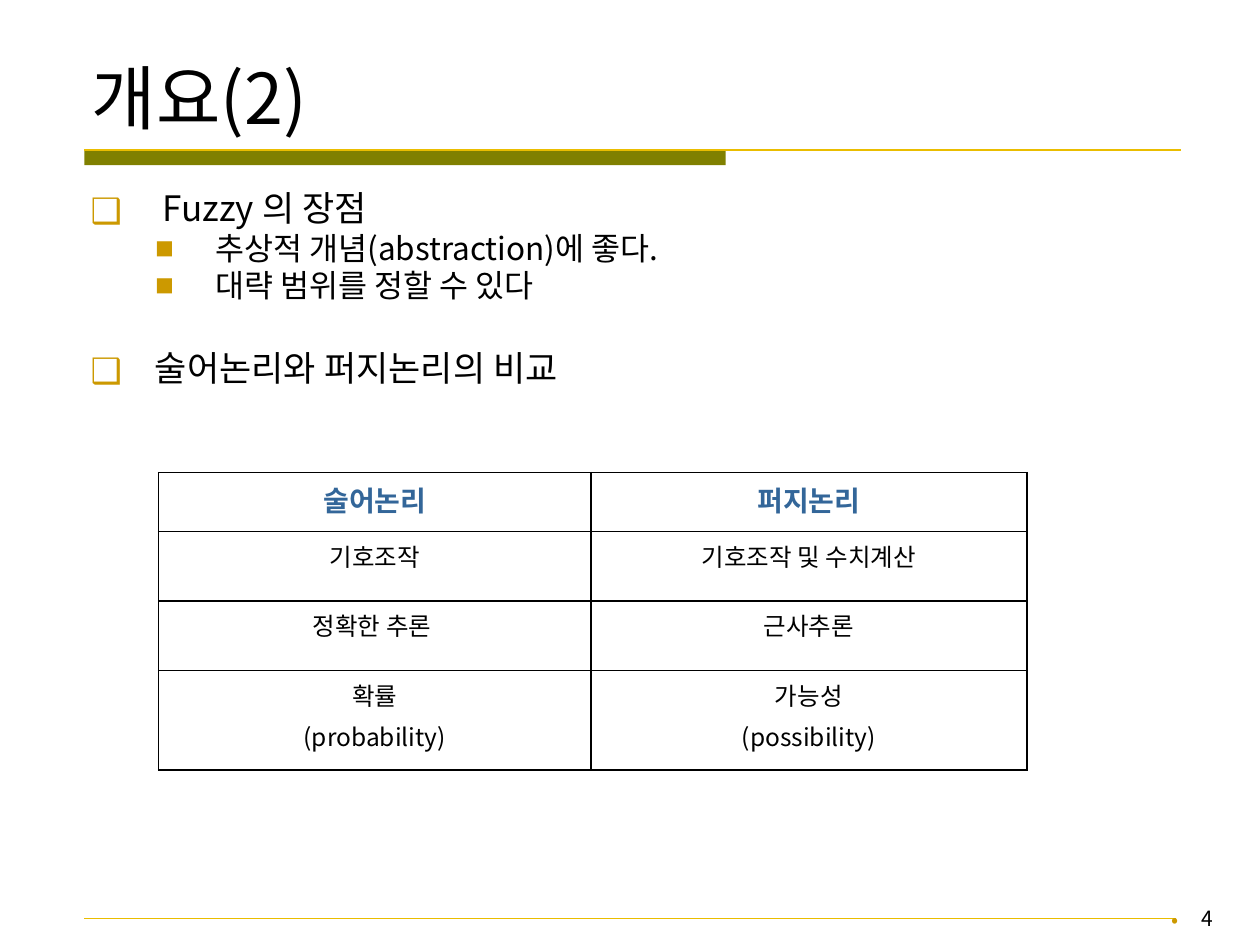
from pptx import Presentation
from pptx.dml.color import RGBColor
from pptx.enum.shapes import MSO_CONNECTOR as Connector, MSO_SHAPE as Shape
from pptx.enum.text import MSO_ANCHOR as Anchor, MSO_AUTO_SIZE as AutoSize, PP_ALIGN as Align
from pptx.oxml.ns import qn
from pptx.util import Inches, Pt
from lxml.etree import SubElement

BLACK, OLIVE, YELLOW, GOLD, BLUE = "000000", "808000", "EABD00", "CC9900", "336699"


def color(value):
    return RGBColor.from_string(value)


def add_solid_fill(parent, value):
    fill = SubElement(parent, qn("a:solidFill"))
    SubElement(fill, qn("a:srgbClr"), val=value)


class SlideBuilder:
    font = "Noto Sans CJK KR"

    def __init__(self, slide):
        self.slide = slide

    def add_run(self, paragraph, text, size, value=BLACK, bold=False):
        run = paragraph.add_run()
        run.text = text
        run.font.name = self.font
        run.font.size = Pt(size)
        run.font.bold = bold
        run.font.color.rgb = color(value)
        SubElement(run._r.get_or_add_rPr(), qn("a:ea"), typeface=self.font)

    def set_bullet(self, paragraph, char, left, hanging, percent=100):
        properties = paragraph._p.get_or_add_pPr()
        properties.set("marL", str(Inches(left)))
        properties.set("indent", str(-Inches(hanging)))
        bullet_color = SubElement(properties, qn("a:buClr"))
        SubElement(bullet_color, qn("a:srgbClr"), val=GOLD)
        SubElement(properties, qn("a:buSzPct"), val=str(percent * 1000))
        SubElement(properties, qn("a:buFont"), typeface=self.font)
        SubElement(properties, qn("a:buChar"), char=char)

    def place(self, shape, left, top, width, height, anchor):
        shape.left, shape.top = Inches(left), Inches(top)
        shape.width, shape.height = Inches(width), Inches(height)
        frame = shape.text_frame
        frame.word_wrap = True
        frame.auto_size = AutoSize.NONE
        frame.vertical_anchor = anchor
        return frame

    def add_title(self, text):
        frame = self.place(self.slide.shapes.title, 0.63, 0.05, 8.47, 1.1, Anchor.BOTTOM)
        paragraph = frame.paragraphs[0]
        paragraph.alignment = Align.LEFT
        self.add_run(paragraph, text, 40)

    def add_list(self, items):
        frame = self.place(self.slide.placeholders[1], 0.62, 1.47, 8.24, 5.75, Anchor.TOP)
        for index, (level, text, space) in enumerate(items):
            paragraph = frame.add_paragraph() if index else frame.paragraphs[0]
            paragraph.level = level
            paragraph.line_spacing = 0.9
            paragraph.space_before = Pt(space)
            if level:
                self.set_bullet(paragraph, "■", 0.99, 0.48, 60)
            else:
                self.set_bullet(paragraph, "❑", 0.51, 0.51)
            self.add_run(paragraph, text, 18 if level else 20)

    def add_bar(self, left, top, width, height, value):
        bar = self.slide.shapes.add_shape(
            Shape.RECTANGLE, Inches(left), Inches(top), Inches(width), Inches(height))
        bar.shadow.inherit = False
        bar.fill.solid()
        bar.fill.fore_color.rgb = color(value)
        bar.line.fill.background()

    def add_rule(self, left, right, y, value, weight):
        rule = self.slide.shapes.add_connector(
            Connector.STRAIGHT, Inches(left), Inches(y), Inches(right), Inches(y))
        rule.line.color.rgb = color(value)
        rule.line.width = Pt(weight)
        SubElement(rule._element.spPr, qn("a:effectLst"))

    def add_page_number(self, number):
        shape = self.slide.shapes.add_textbox(0, 0, 0, 0)
        frame = self.place(shape, 7.56, 7.14, 2.17, 0.52, Anchor.TOP)
        paragraph = frame.paragraphs[0]
        paragraph.alignment = Align.RIGHT
        self.set_bullet(paragraph, "•", 0.24, 0.24)
        self.add_run(paragraph, number, 12)

    def set_borders(self, cell):
        properties = cell._tc.get_or_add_tcPr()
        for position, side in enumerate(("lnL", "lnR", "lnT", "lnB")):
            line = properties.makeelement(qn(f"a:{side}"), {"w": str(Pt(1))})
            properties.insert(position, line)
            add_solid_fill(line, BLACK)

    def add_table(self, left, top, widths, heights, rows):
        table = self.slide.shapes.add_table(
            len(rows), len(widths), Inches(left), Inches(top),
            Inches(sum(widths)), Inches(sum(heights))).table
        for column, width in zip(table.columns, widths):
            column.width = Inches(width)
        for row, height in zip(table.rows, heights):
            row.height = Inches(height)
        for row_index, texts in enumerate(rows):
            header = row_index == 0
            for column_index, text in enumerate(texts):
                cell = table.cell(row_index, column_index)
                cell.fill.background()
                self.set_borders(cell)
                frame = cell.text_frame
                for index, line in enumerate(text.split("\n")):
                    paragraph = frame.add_paragraph() if index else frame.paragraphs[0]
                    paragraph.alignment = Align.CENTER
                    paragraph.space_before = Pt(3 if index else 0)
                    self.add_run(paragraph, line, 16 if header else 14,
                                 BLUE if header else BLACK, header)


def main():
    presentation = Presentation()
    presentation.slide_width, presentation.slide_height = Inches(10), Inches(7.5)
    builder = SlideBuilder(presentation.slides.add_slide(presentation.slide_layouts[1]))

    # Title decoration and footer
    builder.add_bar(0.67, 1.19, 5.09, 0.12, OLIVE)
    builder.add_rule(0.67, 9.37, 1.19, YELLOW, 1.25)
    builder.add_rule(0.67, 9.33, 7.29, YELLOW, 0.5)
    builder.add_page_number("4")

    # Title and list: level, text, space before
    builder.add_title("개요(2)")
    builder.add_list([
        (0, " Fuzzy 의 장점", 0),
        (1, "추상적 개념(abstraction)에 좋다.", 2),
        (1, "대략 범위를 정할 수 있다", 2),
        (0, "술어논리와 퍼지논리의 비교", 27),
    ])

    # Comparison table
    builder.add_table(1.26, 3.75, [3.43, 3.46], [0.47, 0.55, 0.55, 0.79], [
        ("술어논리", "퍼지논리"),
        ("기호조작", "기호조작 및 수치계산"),
        ("정확한 추론 ", "근사추론"),
        ("확률\n(probability)", "가능성\n(possibility)"),
    ])

    presentation.save("out.pptx")


if __name__ == "__main__":
    main()
